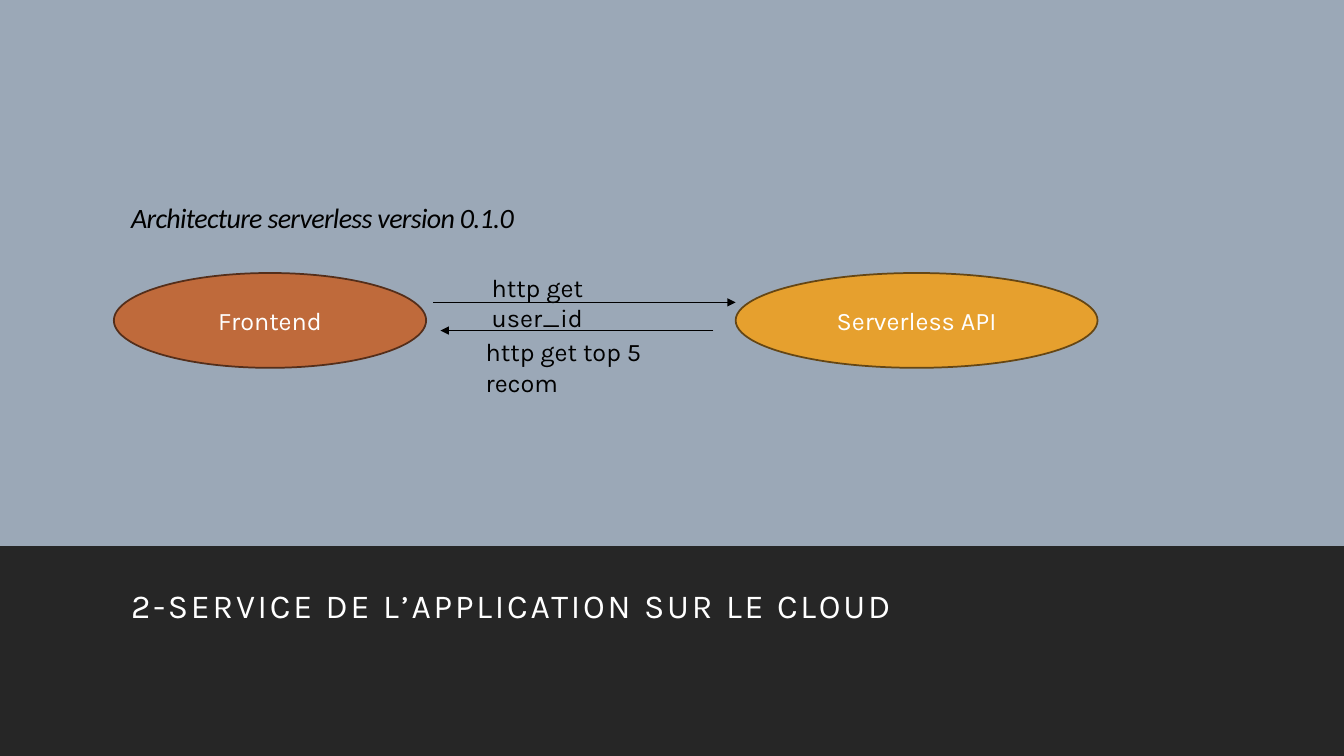
from lxml import etree
from pptx import Presentation
from pptx.dml.color import RGBColor
from pptx.enum.shapes import MSO_CONNECTOR, MSO_SHAPE
from pptx.enum.text import MSO_ANCHOR, PP_ALIGN
from pptx.oxml.ns import qn
from pptx.util import Cm, Pt

STRAIGHT = MSO_CONNECTOR.STRAIGHT
OVAL, RECTANGLE = MSO_SHAPE.OVAL, MSO_SHAPE.RECTANGLE
TOP, MIDDLE = MSO_ANCHOR.TOP, MSO_ANCHOR.MIDDLE
LEFT, CENTER = PP_ALIGN.LEFT, PP_ALIGN.CENTER

BLUE_GREY = RGBColor(0x9B, 0xA8, 0xB7)
CHARCOAL = RGBColor(0x26, 0x26, 0x26)
RUST = RGBColor(0xBF, 0x6A, 0x3B)
DARK_RUST = RGBColor(0x54, 0x2E, 0x1A)
AMBER = RGBColor(0xE6, 0xA0, 0x2E)
DARK_AMBER = RGBColor(0x65, 0x46, 0x14)
WHITE = RGBColor(0xFF, 0xFF, 0xFF)
BLACK = RGBColor(0, 0, 0)


def place(shape, left, top, width, height):
    shape.left, shape.top = Cm(left), Cm(top)
    shape.width, shape.height = Cm(width), Cm(height)


def write(shape, text, color, size=18, font_name="Karla", align=LEFT, anchor=TOP):
    frame = shape.text_frame
    frame.word_wrap = True
    frame.vertical_anchor = anchor
    paragraph = frame.paragraphs[0]
    paragraph.text = text
    paragraph.alignment = align
    paragraph.font.name = font_name
    paragraph.font.size = Pt(size)
    paragraph.font.color.rgb = color
    return paragraph


def set_tracking(paragraph, points):
    for run in paragraph.runs:
        run._r.get_or_add_rPr().set("spc", str(round(points * 100)))


def add_band(slide, slide_width):
    band = slide.shapes.add_shape(RECTANGLE, 0, Cm(13.76), slide_width, Cm(5.29))
    band.shadow.inherit = False
    band.fill.solid()
    band.fill.fore_color.rgb = CHARCOAL
    band.line.fill.background()
    slide.shapes._spTree.insert(2, band._element)


def add_service(slide, name, left, width, fill, outline):
    service = slide.shapes.add_shape(OVAL, Cm(left), Cm(6.88), Cm(width), Cm(2.39))
    service.shadow.inherit = False
    service.fill.solid()
    service.fill.fore_color.rgb = fill
    service.line.color.rgb = outline
    service.line.width = Pt(1.25)
    write(service, name, WHITE, align=CENTER, anchor=MIDDLE)


def add_arrow(slide, start, end, y):
    arrow = slide.shapes.add_connector(STRAIGHT, Cm(start), Cm(y), Cm(end), Cm(y))
    arrow.line.color.rgb = BLACK
    arrow.line.width = Pt(1)
    etree.SubElement(arrow.line._get_or_add_ln(), qn("a:tailEnd"), type="triangle")
    etree.SubElement(arrow._element.spPr, qn("a:effectLst"))


def add_label(slide, text, left, top, width, height):
    label = slide.shapes.add_textbox(Cm(left), Cm(top), Cm(width), Cm(height))
    write(label, text, BLACK)


def main():
    presentation = Presentation()
    presentation.slide_width, presentation.slide_height = Cm(33.87), Cm(19.05)
    slide = presentation.slides.add_slide(presentation.slide_layouts[0])
    slide.background.fill.solid()
    slide.background.fill.fore_color.rgb = BLUE_GREY
    add_band(slide, presentation.slide_width)

    architecture = slide.shapes.title
    place(architecture, 3.05, 2.11, 27.94, 10.82)
    architecture.text_frame.margin_top = Cm(3.05)
    heading = write(architecture, "Architecture serverless version 0.1.0", BLACK, 20, "Calibri")
    heading.font.italic = True
    heading.line_spacing = 0.9
    set_tracking(heading, -0.5)

    section = slide.placeholders[1]
    place(section, 3.05, 14.5, 27.94, 3.18)
    section_name = write(section, "2-SERVICE DE L’APPLICATION SUR LE CLOUD", WHITE, 24)
    section_name.line_spacing = 1.1
    section_name.space_before = Pt(0)
    section_name.space_after = Pt(2)
    set_tracking(section_name, 2)

    add_service(slide, "Frontend", 2.87, 7.87, RUST, DARK_RUST)
    add_service(slide, "Serverless API", 18.54, 9.12, AMBER, DARK_AMBER)
    add_arrow(slide, 10.92, 18.54, 7.62)
    add_arrow(slide, 17.98, 11.1, 8.33)
    add_label(slide, "http get user_id", 12.14, 6.73, 4.8, 1.02)
    add_label(slide, "http get top 5 recom", 11.99, 8.36, 5.18, 1.8)

    presentation.save("out.pptx")


if __name__ == "__main__":
    main()
